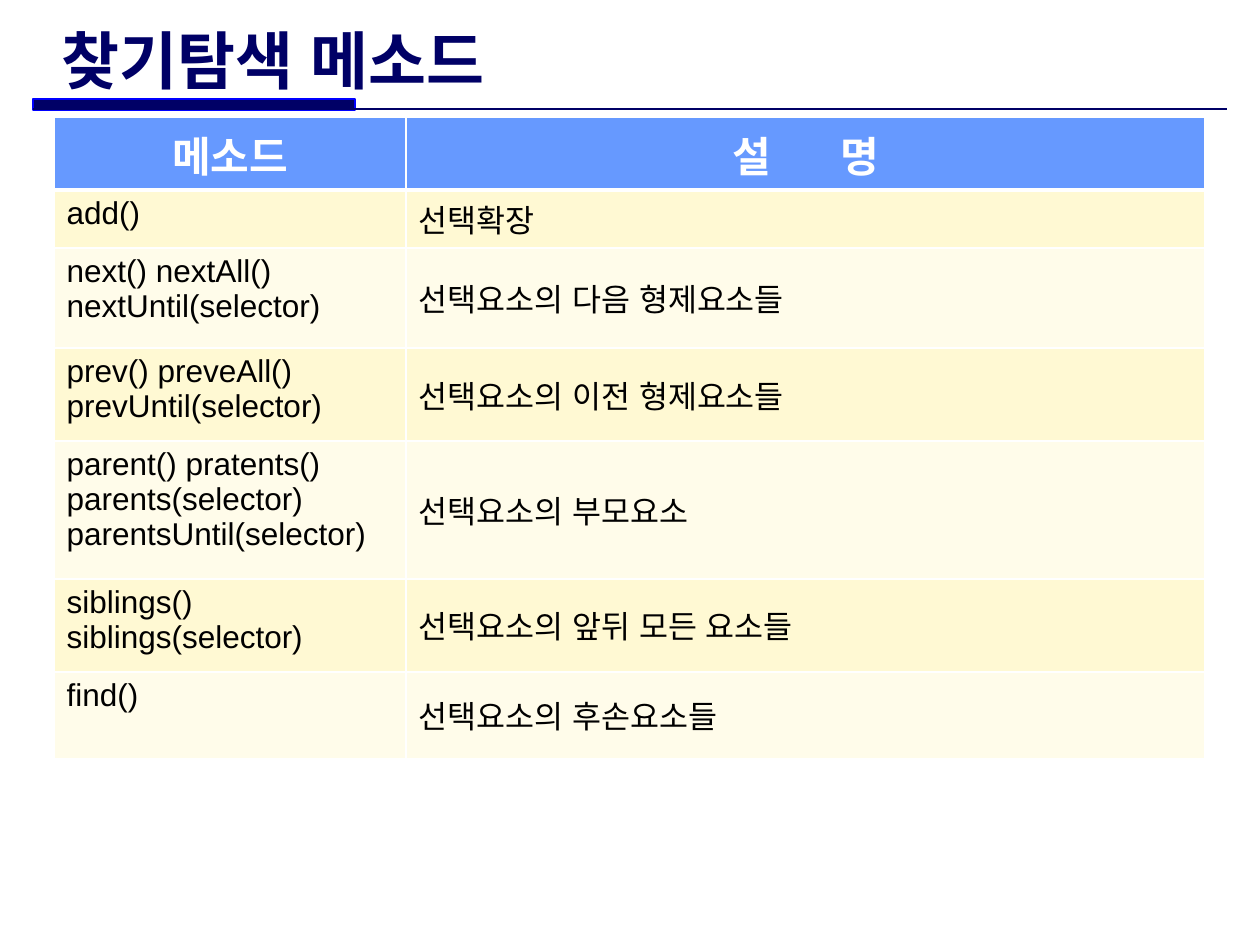
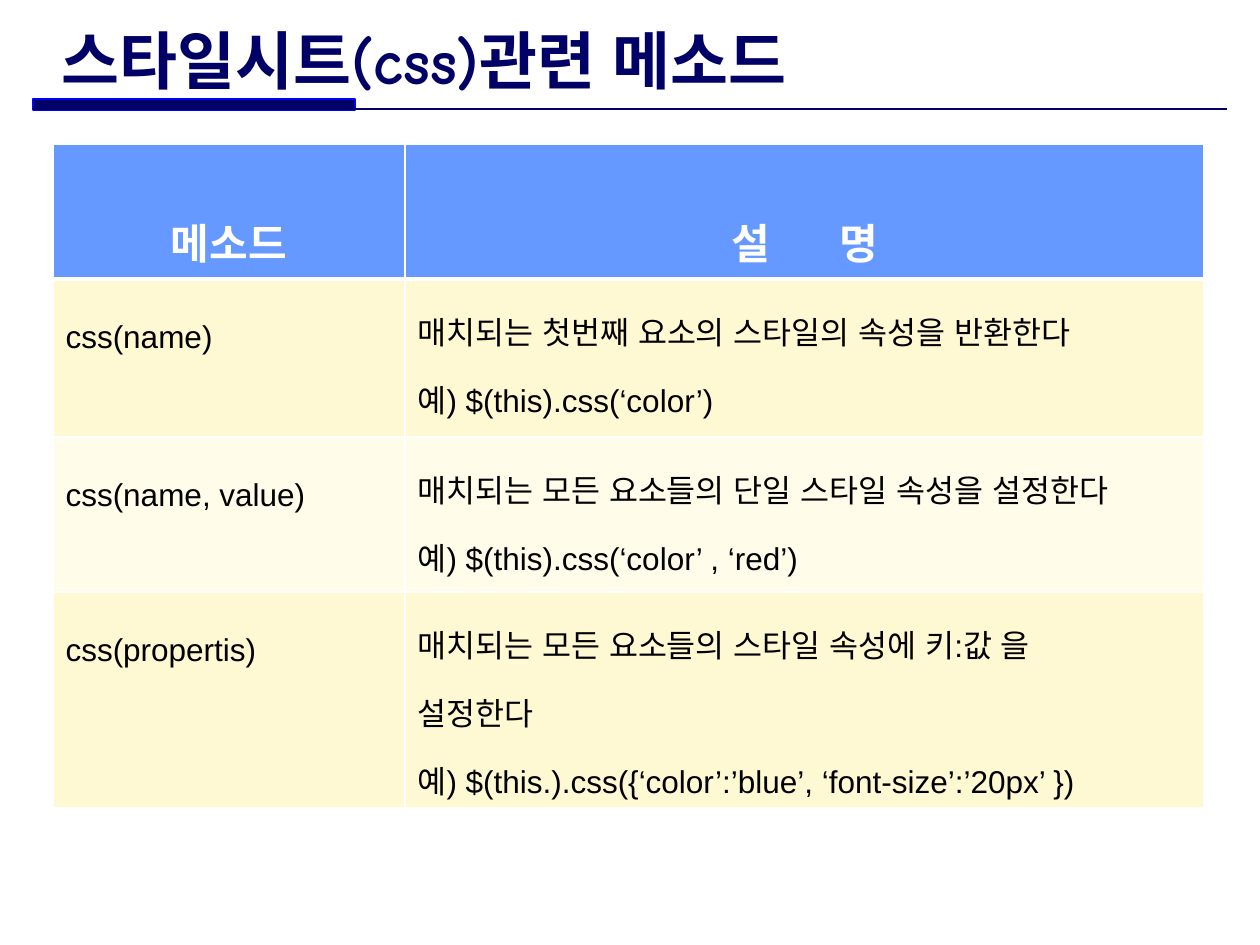
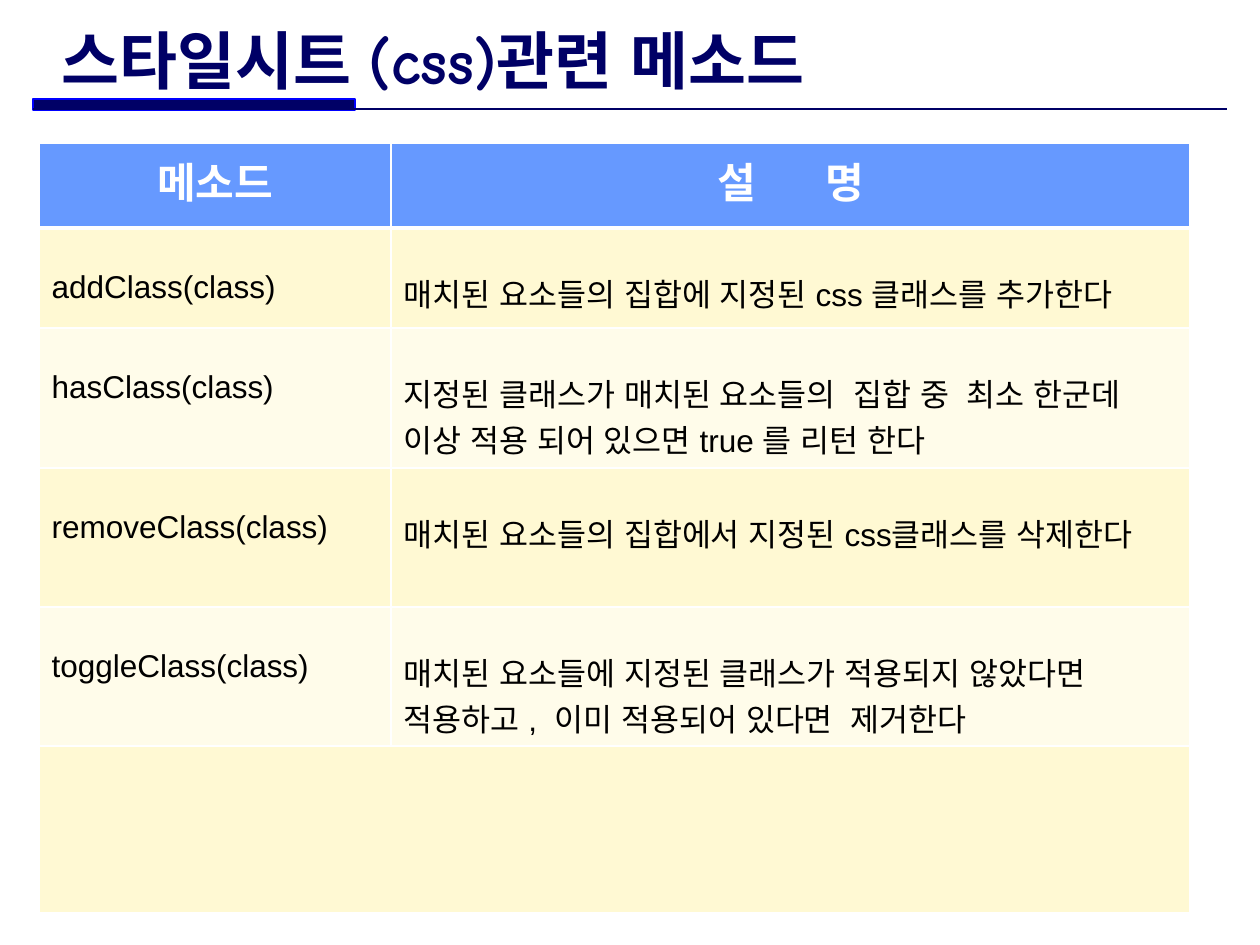
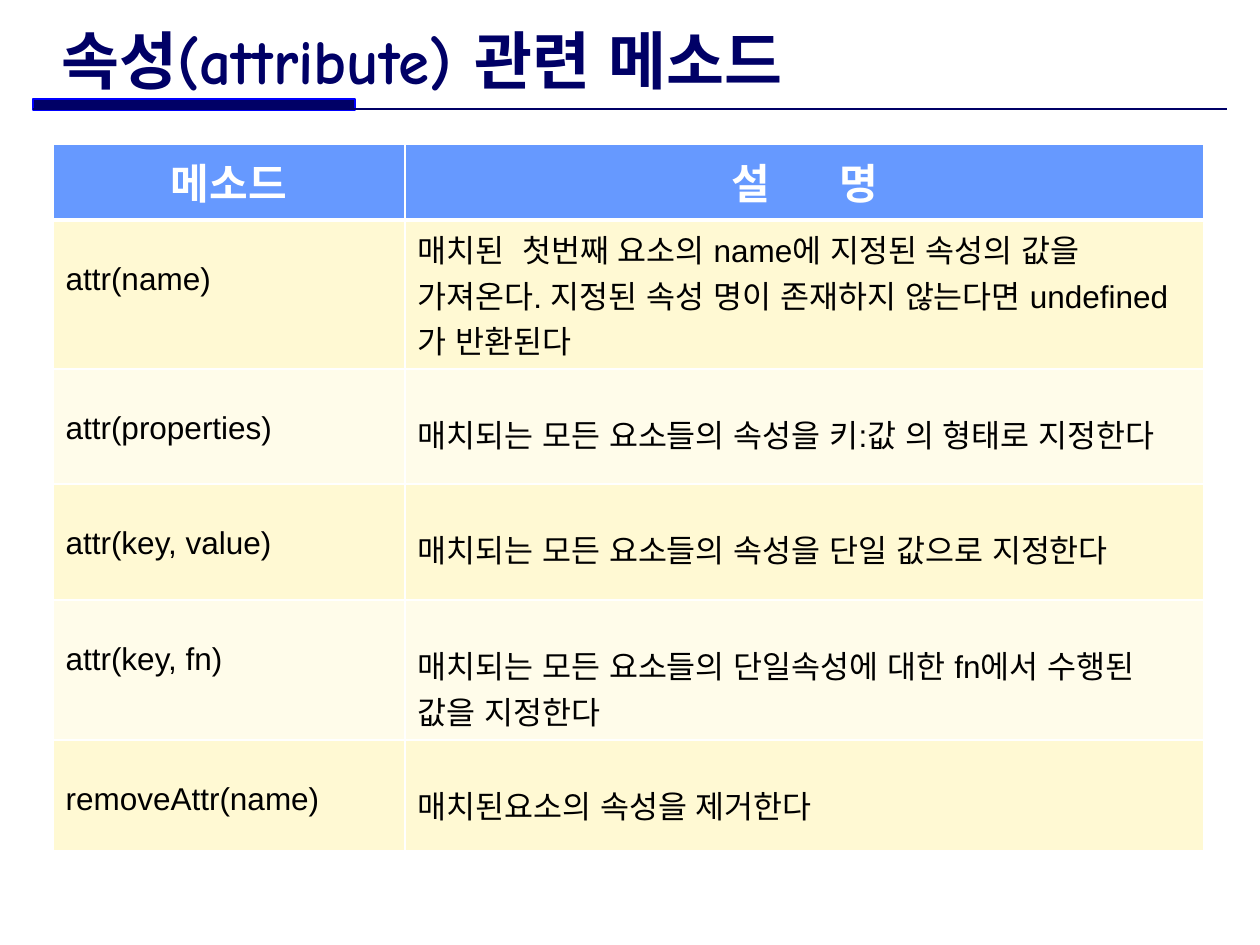
import pptx
import pptx.util
import pptx.dml.color
import pptx.enum.lang
import pptx.enum.shapes
import pptx.enum.text
import pptx.oxml
import pptx.oxml.ns
from lxml import etree

RGB = pptx.dml.color.RGBColor
NAVY = RGB(0x00, 0x00, 0x66)
BLUE = RGB(0x00, 0x00, 0xFF)
SKY = RGB(0x66, 0x99, 0xFF)
CREAM = RGB(0xFF, 0xF9, 0xD3)
IVORY = RGB(0xFF, 0xFC, 0xEA)
BLACK = RGB(0x00, 0x00, 0x00)
WHITE = RGB(0xFF, 0xFF, 0xFF)

TITLE_FONT = "Comic Neue"
TABLE_FONT = "Arial"
KOREAN_FONT = "Noto Sans CJK KR"
PX_PER_INCH = 126
COLUMN_WIDTHS = (352, 799)
HEADINGS = ("메소드", "설 명")
HEADING_GAP = 1650
CELL_TOP = 6
LOWERED_TOP = 42

TOPICS = [
    {
        "title": "찾기탐색 메소드",
        "corner": (54, 117),
        "heading_height": 73,
        "centred": True,
        "methods": [
            (58, ["add()"], ["선택확장"]),
            (100, ["next() nextAll()", "nextUntil(selector)"], ["선택요소의 다음 형제요소들"]),
            (93, ["prev() preveAll()", "prevUntil(selector)"], ["선택요소의 이전 형제요소들"]),
            (138, ["parent() pratents()", "parents(selector)", "parentsUntil(selector)"],
             ["선택요소의 부모요소"]),
            (93, ["siblings()", "siblings(selector)"], ["선택요소의 앞뒤 모든 요소들"]),
            (87, ["find()"], ["선택요소의 후손요소들"]),
        ],
    },
    {
        "title": "스타일시트(css)관련 메소드",
        "corner": (53, 144),
        "heading_height": 135,
        "spacing": (2.0, 1.5),
        "methods": [
            (158, ["css(name)"],
             ["매치되는 첫번째 요소의 스타일의 속성을 반환한다", "예) $(this).css(‘color’)"]),
            (155, ["css(name, value)"],
             ["매치되는 모든 요소들의 단일 스타일 속성을 설정한다",
              "예) $(this).css(‘color’ , ‘red’)"]),
            (216, ["css(propertis)"],
             ["매치되는 모든 요소들의 스타일 속성에 키:값 을", "설정한다",
              "예) $(this.).css({‘color’:’blue’, ‘font-size’:’20px’ })"]),
        ],
    },
    {
        "title": "스타일시트 (css)관련 메소드",
        "corner": (39, 143),
        "heading_height": 85,
        "lowered": (True, True),
        "methods": [
            (100, ["addClass(class)"], ["매치된 요소들의 집합에 지정된 css 클래스를 추가한다"]),
            (140, ["hasClass(class)"],
             ["지정된 클래스가 매치된 요소들의  집합 중  최소 한군데 이상 적용 되어 있으면 true 를 리턴 한다"]),
            (139, ["removeClass(class)"], ["매치된 요소들의 집합에서 지정된 css클래스를 삭제한다"]),
            (139, ["toggleClass(class)"],
             ["매치된 요소들에 지정된 클래스가 적용되지 않았다면 적용하고 ,  이미 적용되어 있다면  제거한다"]),
            (167, [], []),
        ],
    },
    {
        "title": "속성(attribute) 관련 메소드",
        "corner": (53, 144),
        "heading_height": 76,
        "lowered": (True, True),
        "raised": "attr(name)",
        "methods": [
            (149, ["attr(name)"],
             ["매치된  첫번째 요소의 name에 지정된 속성의 값을  가져온다. "
              "지정된 속성 명이 존재하지 않는다면 undefined가 반환된다"]),
            (115, ["attr(properties)"], ["매치되는 모든 요소들의 속성을 키:값 의 형태로 지정한다"]),
            (116, ["attr(key, value)"], ["매치되는 모든 요소들의 속성을 단일 값으로 지정한다"]),
            (140, ["attr(key, fn)"],
             ["매치되는 모든 요소들의 단일속성에 대한 fn에서 수행된 값을 지정한다"]),
            (111, ["removeAttr(name)"], ["매치된요소의 속성을 제거한다"]),
        ],
    },
]


def px(length):
    return pptx.util.Emu(round(length * 914400 / PX_PER_INCH))


def style(paragraph, face, size, colour, bold):
    font = paragraph.font
    font.name = face
    font.size = pptx.util.Pt(size)
    font.color.rgb = colour
    font.bold = bold
    font.language_id = pptx.enum.lang.MSO_LANGUAGE_ID.KOREAN
    etree.SubElement(font._element, pptx.oxml.ns.qn("a:ea")).set("typeface", KOREAN_FONT)
    for run in paragraph.runs:
        run.font.language_id = pptx.enum.lang.MSO_LANGUAGE_ID.KOREAN


def add_title_band(slide, title):
    bar = slide.shapes.add_shape(
        pptx.enum.shapes.MSO_SHAPE.RECTANGLE, px(33), px(99), px(322), px(11))
    bar.shadow.inherit = False
    bar.fill.solid()
    bar.fill.fore_color.rgb = NAVY
    bar.line.color.rgb = BLUE
    bar.line.width = pptx.util.Pt(0.75)

    rule = slide.shapes.add_connector(
        pptx.enum.shapes.MSO_CONNECTOR.STRAIGHT, px(33), px(109), px(1227), px(109))
    rule.line.color.rgb = NAVY
    rule.line.width = pptx.util.Pt(1.5)
    etree.SubElement(rule._element.spPr, pptx.oxml.ns.qn("a:effectLst"))

    frame = slide.shapes.add_textbox(px(49), px(26), px(856), px(66)).text_frame
    frame.word_wrap = True
    frame.vertical_anchor = pptx.enum.text.MSO_ANCHOR.MIDDLE
    frame.text = title
    style(frame.paragraphs[0], TITLE_FONT, 36, NAVY, True)


def paint_cell(cell, colour, top=1, bottom=1):
    properties = cell._tc.get_or_add_tcPr()
    for side, points in (("L", 1), ("R", 1), ("T", top), ("B", bottom)):
        properties.append(pptx.oxml.parse_xml(
            f'<a:ln{side} {pptx.oxml.ns.nsdecls("a")} w="{pptx.util.Pt(points)}">'
            f'<a:solidFill><a:srgbClr val="{WHITE}"/></a:solidFill></a:ln{side}>'))
    cell.fill.solid()
    cell.fill.fore_color.rgb = colour


def add_headings(table, spacing):
    for column, heading in enumerate(HEADINGS):
        cell = table.cell(0, column)
        paint_cell(cell, SKY, bottom=3)
        paragraph = cell.text_frame.paragraphs[0]
        before, space, after = heading.partition(" ")
        paragraph.add_run().text = before + space
        if space:
            paragraph.runs[0].font._element.set("spc", str(HEADING_GAP))
            paragraph.add_run().text = after
        paragraph.alignment = pptx.enum.text.PP_ALIGN.CENTER
        paragraph.line_spacing = spacing
        style(paragraph, TABLE_FONT, 24, WHITE, True)


def add_method_table(slide, topic):
    methods = topic["methods"]
    heights = [topic["heading_height"]] + [height for height, *_ in methods]
    left, top = topic["corner"]
    table = slide.shapes.add_table(
        len(heights), len(COLUMN_WIDTHS), px(left), px(top),
        px(sum(COLUMN_WIDTHS)), px(sum(heights))).table
    table.first_row = table.horz_banding = False
    for column, width in zip(table.columns, COLUMN_WIDTHS):
        column.width = px(width)
    for row, height in zip(table.rows, heights):
        row.height = px(height)

    spacing = topic.get("spacing", (None, None))
    lowered = topic.get("lowered", (False, False))
    add_headings(table, spacing[0])
    for row, (_, names, description) in enumerate(methods, 1):
        for column, lines in enumerate((names, description)):
            cell = table.cell(row, column)
            paint_cell(cell, CREAM if row % 2 else IVORY, top=3 if row == 1 else 1)
            raised = column == 1 and topic.get("raised") in names
            cell.margin_top = px(LOWERED_TOP if lowered[column] and not raised else CELL_TOP)
            if column == 1 and topic.get("centred"):
                cell.vertical_anchor = pptx.enum.text.MSO_ANCHOR.MIDDLE
            cell.text = "\n".join(lines)
            for paragraph in cell.text_frame.paragraphs:
                paragraph.line_spacing = spacing[column]
                style(paragraph, TABLE_FONT, 18, BLACK, False)
        if not names:
            table.cell(row, 0).merge(table.cell(row, 1))


def main():
    deck = pptx.Presentation()
    deck.slide_width = px(1260)
    deck.slide_height = px(945)
    for topic in TOPICS:
        slide = deck.slides.add_slide(deck.slide_layouts[6])
        add_title_band(slide, topic["title"])
        add_method_table(slide, topic)
    deck.save("out.pptx")


if __name__ == "__main__":
    main()
